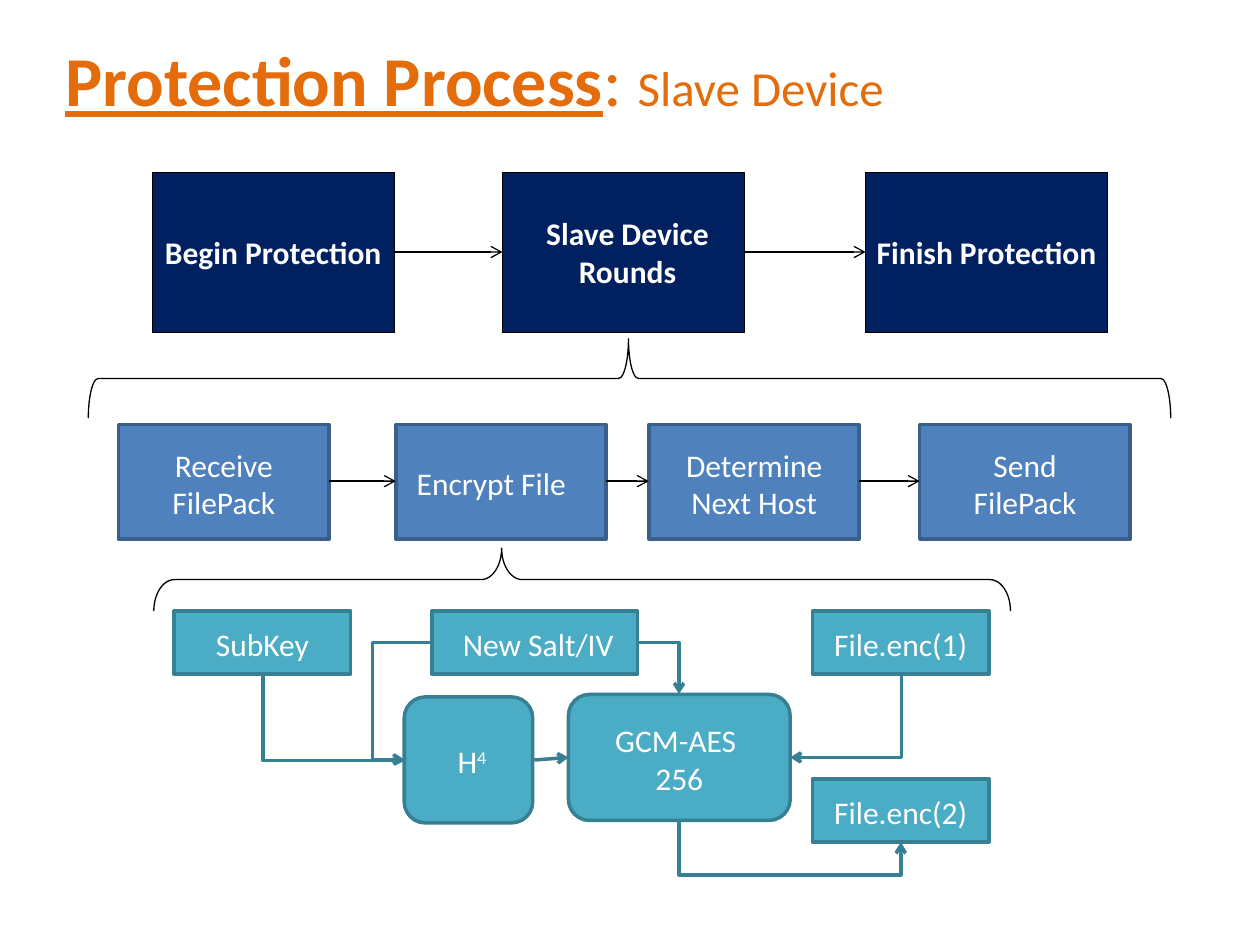
from itertools import pairwise
from typing import NamedTuple

from lxml.etree import SubElement
from pptx import Presentation
from pptx.dml.color import RGBColor
from pptx.enum.shapes import MSO_CONNECTOR as CONN, MSO_SHAPE as SHAPE
from pptx.enum.text import MSO_ANCHOR as ANCHOR, PP_ALIGN as ALIGN
from pptx.oxml.ns import qn
from pptx.util import Cm, Pt

WHITE = RGBColor(0xFF, 0xFF, 0xFF)
BLACK = RGBColor(0x00, 0x00, 0x00)
ORANGE = RGBColor(0xE4, 0x6C, 0x0A)
NAVY = RGBColor(0x00, 0x20, 0x60)
BLUE = RGBColor(0x4F, 0x81, 0xBD)
BLUE_EDGE = RGBColor(0x3A, 0x5F, 0x8C)
TEAL = RGBColor(0x4B, 0xAC, 0xC6)
TEAL_EDGE = RGBColor(0x37, 0x7F, 0x92)
THIN, THICK = 0.75, 2


class Step(NamedTuple):
    left: float
    lines: tuple[str, ...]
    rows: int = 2
    shift: float = 0
    align: ALIGN = ALIGN.CENTER


class Row(NamedTuple):
    kind: SHAPE
    top: float
    width: float
    height: float
    arrow_y: float
    label_dx: float
    label_width: float
    label_tops: dict[int, float]
    fill: RGBColor
    edge: RGBColor
    weight: float
    bold: bool
    steps: tuple[Step, ...]


class Node(NamedTuple):
    left: float
    top: float
    width: float
    height: float
    lines: tuple[str, ...]
    power: str = ""
    corner: float = 0
    wrap: bool = True


class Elbow(NamedTuple):
    left: float
    top: float
    width: float
    height: float
    preset: str
    turn: int = 0
    flip: str = ""
    bend: int = 0
    head: str = "arrow"


class Brace(NamedTuple):
    left: float
    top: float
    width: float
    height: float
    curl: float
    tip: float


ROWS = (
    Row(SHAPE.RECTANGLE, 3.48, 4.88, 3.23, 5.08, -0.1, 5.08, {1: 4.57, 2: 4.19},
        NAVY, BLACK, THIN, True, (
            Step(3.07, ("Begin Protection",), 1),
            Step(10.13, ("Slave Device Rounds",), shift=0.08),
            Step(17.45, ("Finish Protection",), 1))),
    Row(SHAPE.FLOWCHART_PROCESS, 8.56, 4.24, 2.31, 9.7, 0.17, 3.91, {1: 9.22, 2: 8.86},
        BLUE, BLUE_EDGE, THICK, False, (
            Step(2.39, ("Receive FilePack",)),
            Step(7.98, ("Encrypt File",), 1, align=ALIGN.LEFT),
            Step(13.08, ("Determine", "Next Host")),
            Step(18.54, ("Send FilePack",)))),
)
NODES = (
    Node(3.51, 12.32, 3.56, 1.27, ("SubKey",)),
    Node(8.71, 12.32, 4.14, 1.27, (" New Salt/IV",)),
    Node(16.38, 12.32, 3.56, 1.27, ("File.enc(1)",)),
    Node(16.38, 15.7, 3.56, 1.27, ("File.enc(2)",)),
    Node(8.15, 14.05, 2.59, 2.54, (" H",), "4", 0.167, False),
    Node(11.46, 14, 4.47, 2.54, ("GCM-AES ", "256"), "", 0.167, False),
)
ELBOWS = (
    Elbow(5.87, 13.03, 1.73, 2.87, "bentConnector2", 270, "flipH", head="triangle"),
    Elbow(15.71, 14.53, 0.43, 4.47, "bentConnector3", 270, "flipH", 252500),
    Elbow(8.15, 12.95, 0.56, 2.36, "bentConnector3", 180, "flipV", 215100),
    Elbow(16.21, 13.31, 1.68, 2.24, "bentConnector2", 90),
    Elbow(12.85, 12.95, 0.84, 1.04, "bentConnector2"),
)
BRACES = (
    Brace(11.89, -3.28, 1.6, 21.82, 0.125, 0.501),
    Brace(11.1, 3.05, 1.27, 17.27, 0.326, 0.594),
)


def add_run(p, text: str, *, size: float = 18, color: RGBColor = WHITE,
            bold: bool = False, underline: bool = False, baseline: int = 0) -> None:
    r = p.add_run()
    r.text = text
    font = r.font
    font.name, font.size, font.bold, font.underline = "Calibri", Pt(size), bold, underline
    font.color.rgb = color
    if baseline:
        r._r.get_or_add_rPr().set("baseline", str(baseline))


def add_lines(tf, lines: tuple[str, ...], *, align: ALIGN = ALIGN.CENTER,
              bold: bool = False) -> None:
    for i, line in enumerate(lines):
        p = tf.add_paragraph() if i else tf.paragraphs[0]
        p.alignment = align
        add_run(p, line, bold=bold)


def add_text_box(s, left: float, top: float, width: float, height: float):
    tf = s.shapes.add_textbox(Cm(left), Cm(top), Cm(width), Cm(height)).text_frame
    tf.word_wrap = True
    return tf


def add_box(s, kind: SHAPE, left: float, top: float, width: float, height: float,
            fill: RGBColor | None, edge: RGBColor, weight: float):
    sp = s.shapes.add_shape(kind, Cm(left), Cm(top), Cm(width), Cm(height))
    sp.shadow.inherit = False
    if fill is None:
        sp.fill.background()
    else:
        sp.fill.solid()
        sp.fill.fore_color.rgb = fill
    sp.line.color.rgb = edge
    sp.line.width = Pt(weight)
    return sp


def add_arrow(s, kind: CONN, x1: float, y1: float, x2: float, y2: float,
              color: RGBColor, weight: float, head: str = "arrow"):
    c = s.shapes.add_connector(kind, Cm(x1), Cm(y1), Cm(x2), Cm(y2))
    c.line.color.rgb = color
    c.line.width = Pt(weight)
    SubElement(c.line._get_or_add_ln(), qn("a:tailEnd"), type=head)
    SubElement(c._element.spPr, qn("a:effectLst"))
    return c


def add_elbow(s, e: Elbow) -> None:
    c = add_arrow(s, CONN.ELBOW, e.left, e.top, e.left + e.width, e.top + e.height,
                  TEAL_EDGE, THICK, e.head)
    xfrm = c._element.spPr.find(qn("a:xfrm"))
    xfrm.set("rot", str(e.turn * 60000))
    if e.flip:
        xfrm.set(e.flip, "1")
    geom = c._element.spPr.find(qn("a:prstGeom"))
    geom.set("prst", e.preset)
    if e.bend:
        SubElement(geom.find(qn("a:avLst")), qn("a:gd"), name="adj1", fmla=f"val {e.bend}")


def add_row(s, row: Row) -> None:
    for step in row.steps:
        add_box(s, row.kind, step.left, row.top, row.width, row.height,
                row.fill, row.edge, row.weight)
        tf = add_text_box(s, step.left + row.label_dx + step.shift,
                          row.label_tops[step.rows], row.label_width, 1.02 if step.rows == 1 else 1.8)
        add_lines(tf, step.lines, align=step.align, bold=row.bold)
    for a, b in pairwise(row.steps):
        add_arrow(s, CONN.STRAIGHT, a.left + row.width, row.arrow_y, b.left, row.arrow_y,
                  BLACK, THIN)


def add_node(s, n: Node) -> None:
    sp = add_box(s, SHAPE.ROUNDED_RECTANGLE, n.left, n.top, n.width, n.height,
                 TEAL, TEAL_EDGE, THICK)
    sp.adjustments[0] = n.corner
    tf = sp.text_frame
    tf.word_wrap, tf.vertical_anchor = n.wrap, ANCHOR.MIDDLE
    tf.margin_top, tf.margin_bottom = Cm(0.18), Cm(0.13)
    add_lines(tf, n.lines)
    if n.power:
        add_run(tf.paragraphs[0], n.power, baseline=30000)


def add_brace(s, b: Brace) -> None:
    sp = add_box(s, SHAPE.LEFT_BRACE, b.left, b.top, b.width, b.height, None, BLACK, THIN)
    sp.rotation = 90
    sp.adjustments[0], sp.adjustments[1] = b.curl, b.tip


def main() -> None:
    prs = Presentation()
    prs.slide_width, prs.slide_height = Cm(25.4), Cm(19.05)
    s = prs.slides.add_slide(prs.slide_layouts[6])
    tf = add_text_box(s, 1.07, 0, 22.86, 3.18)
    tf.vertical_anchor = ANCHOR.MIDDLE
    p = tf.paragraphs[0]
    add_run(p, "Protection Process", size=40, color=ORANGE, bold=True, underline=True)
    add_run(p, ": ", size=40, color=ORANGE)
    add_run(p, "Slave Device", size=28, color=ORANGE)
    for n in NODES:
        add_node(s, n)
    for e in ELBOWS:
        add_elbow(s, e)
    add_arrow(s, CONN.STRAIGHT, 10.77, 15.32, 11.46, 15.27, TEAL_EDGE, THICK)
    for b in BRACES:
        add_brace(s, b)
    for row in ROWS:
        add_row(s, row)
    prs.save("out.pptx")


if __name__ == "__main__":
    main()
